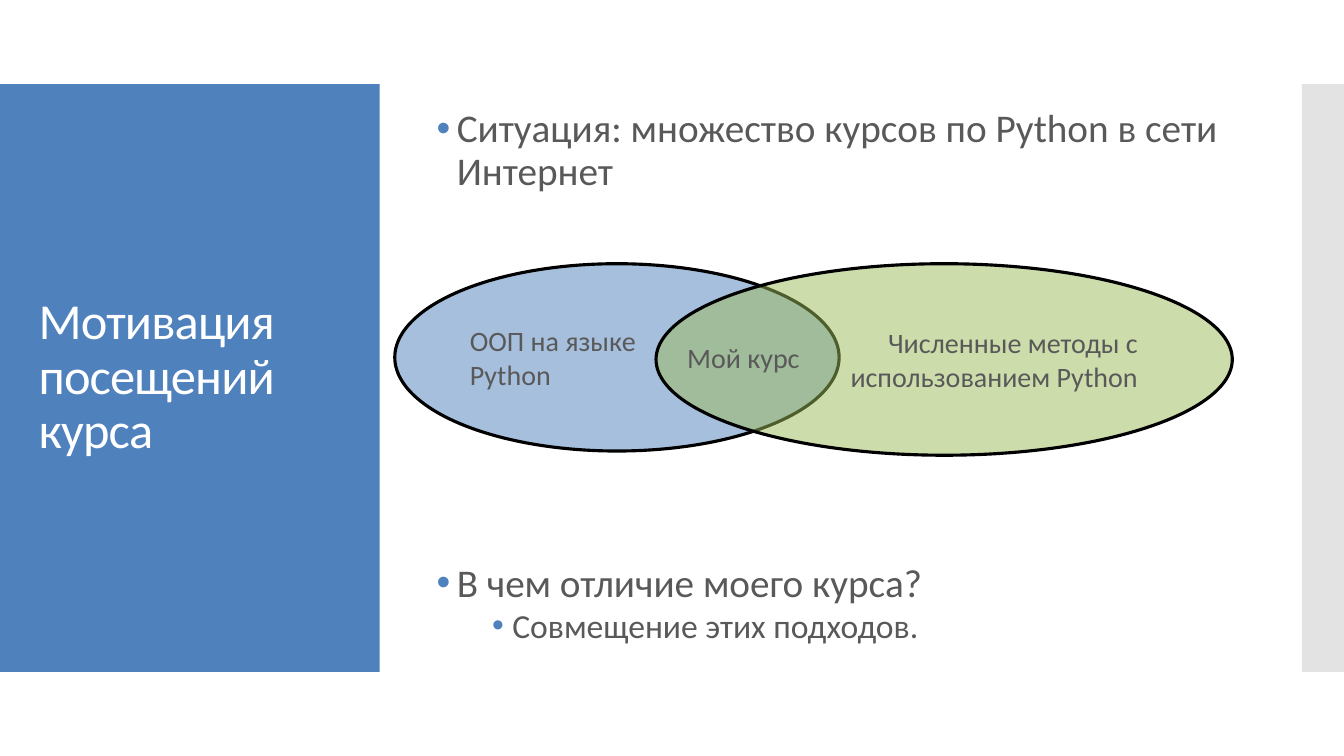
from dataclasses import dataclass

from lxml import etree
from pptx import Presentation
from pptx.dml.color import RGBColor
from pptx.enum.shapes import MSO_SHAPE
from pptx.enum.text import MSO_ANCHOR, MSO_AUTO_SIZE, PP_ALIGN
from pptx.oxml.ns import qn
from pptx.util import Inches, Pt

RECT, OVAL = MSO_SHAPE.RECTANGLE, MSO_SHAPE.OVAL
MIDDLE, TOP = MSO_ANCHOR.MIDDLE, MSO_ANCHOR.TOP
LEFT, CENTER, RIGHT = PP_ALIGN.LEFT, PP_ALIGN.CENTER, PP_ALIGN.RIGHT
NO_FIT = MSO_AUTO_SIZE.NONE

BLUE = RGBColor(0x4F, 0x81, 0xBD)
GREEN = RGBColor(0x9B, 0xBB, 0x59)
SILVER = RGBColor(0xC8, 0xC8, 0xC8)
GRAY = RGBColor(0x59, 0x59, 0x59)
WHITE = RGBColor(0xFF, 0xFF, 0xFF)
BLACK = RGBColor(0, 0, 0)

FONT = "Calibri"
WIDTH, HEIGHT = Inches(13.33), Inches(7.5)
COLS, ROWS = 16, 9


@dataclass(frozen=True)
class Area:
    """A place on the slide in grid columns and rows."""
    col: float
    row: float
    cols: float
    rows: float

    def box(self) -> tuple[int, int, int, int]:
        x, y = WIDTH / COLS, HEIGHT / ROWS
        return (round(self.col * x), round(self.row * y),
                round(self.cols * x), round(self.rows * y))


@dataclass(frozen=True)
class Block:
    area: Area
    kind: MSO_SHAPE
    fill: RGBColor
    alpha: int = 100
    edge: float = 0
    lines: tuple[str, ...] = ()
    align: PP_ALIGN = LEFT


@dataclass(frozen=True)
class Point:
    text: str
    size: int = 28
    indent: float = 0.2
    before: float = 0
    after: float = 0


PANELS = (
    Block(Area(0, 1, 4.52, 7), RECT, BLUE),
    Block(Area(15.5, 1, 0.5, 7), RECT, SILVER, alpha=50),
)
OVALS = (
    Block(Area(4.7, 3.14, 5.29, 2.23), OVAL, BLUE, 50, 2.25,
          ("ООП на языке", "Python")),
    Block(Area(7.81, 3.14, 6.86, 2.28), OVAL, GREEN, 50, 2.25,
          ("Численные методы с использованием Python",), RIGHT),
)
POINTS = (
    Point("Ситуация: множество курсов по Python в сети Интернет"),
    Point("В чем отличие моего курса?", before=264),
    Point("Совмещение этих подходов.", 24, 0.75, 2.5, 2.5),
)
TITLE = Area(0.34, 1.48, 3.86, 6.04)
BODY = Area(5.08, 1.13, 9.6, 6.72)
LABEL = Area(8, 4, 1.7, 0.53)


def write(frame, text: str, *, size: float = 20, color: RGBColor = GRAY,
          align: PP_ALIGN = LEFT, spacing: float = 1, before: float = 0,
          after: float = 0, indent: float = 0, track: int = 0) -> None:
    """Add a paragraph; an indent in inches also gives it a bullet."""
    para = frame.paragraphs[0]
    if para.runs:
        para = frame.add_paragraph()
    para.alignment, para.line_spacing = align, spacing
    para.space_before, para.space_after = Pt(before), Pt(after)
    if indent:
        props = para._p.get_or_add_pPr()
        props.set("marL", str(Inches(indent)))
        props.set("indent", str(Inches(-0.2)))
        tint = etree.SubElement(props, qn("a:buClr"))
        etree.SubElement(tint, qn("a:srgbClr"), val=str(BLUE))
        etree.SubElement(props, qn("a:buFont"), typeface="Arial")
        etree.SubElement(props, qn("a:buChar"), char="•")
    run = para.add_run()
    run.text = text
    run.font.name, run.font.size = FONT, Pt(size)
    run.font.color.rgb = color
    if track:
        run.font._element.set("spc", str(track))


def set_frame(frame, anchor: MSO_ANCHOR = MIDDLE) -> None:
    frame.auto_size = NO_FIT
    frame.word_wrap = True
    frame.vertical_anchor = anchor


def draw_block(slide, block: Block) -> None:
    shape = slide.shapes.add_shape(block.kind, *block.area.box())
    shape.shadow.inherit = False
    shape.fill.solid()
    shape.fill.fore_color.rgb = block.fill
    if block.alpha < 100:
        tint = shape.element.spPr.find(qn("a:solidFill"))[0]
        etree.SubElement(tint, qn("a:alpha"), val=str(block.alpha * 1000))
    if block.edge:
        shape.line.color.rgb = BLACK
        shape.line.width = Pt(block.edge)
    else:
        shape.line.fill.background()
    set_frame(shape.text_frame)
    for line in block.lines:
        write(shape.text_frame, line, align=block.align)


def add_box(slide, area: Area, anchor: MSO_ANCHOR):
    frame = slide.shapes.add_textbox(*area.box()).text_frame
    set_frame(frame, anchor)
    return frame


def set_title(slide, text: str) -> None:
    """Fill the title and lift it above the panels."""
    title = slide.shapes.title
    title.left, title.top, title.width, title.height = TITLE.box()
    set_frame(title.text_frame)
    write(title.text_frame, text, size=36, color=WHITE, spacing=0.9, track=-60)
    title.element.getparent().append(title.element)


def main() -> None:
    deck = Presentation()
    deck.slide_width, deck.slide_height = WIDTH, HEIGHT
    slide = deck.slides.add_slide(deck.slide_layouts[5])
    for panel in PANELS:
        draw_block(slide, panel)
    set_title(slide, "Мотивация посещений курса")
    body = add_box(slide, BODY, MIDDLE)
    for point in POINTS:
        write(body, point.text, size=point.size, spacing=0.9,
              before=point.before, after=point.after, indent=point.indent)
    for oval in OVALS:
        draw_block(slide, oval)
    write(add_box(slide, LABEL, TOP), "Мой курс", align=CENTER)
    deck.save("out.pptx")


if __name__ == "__main__":
    main()
